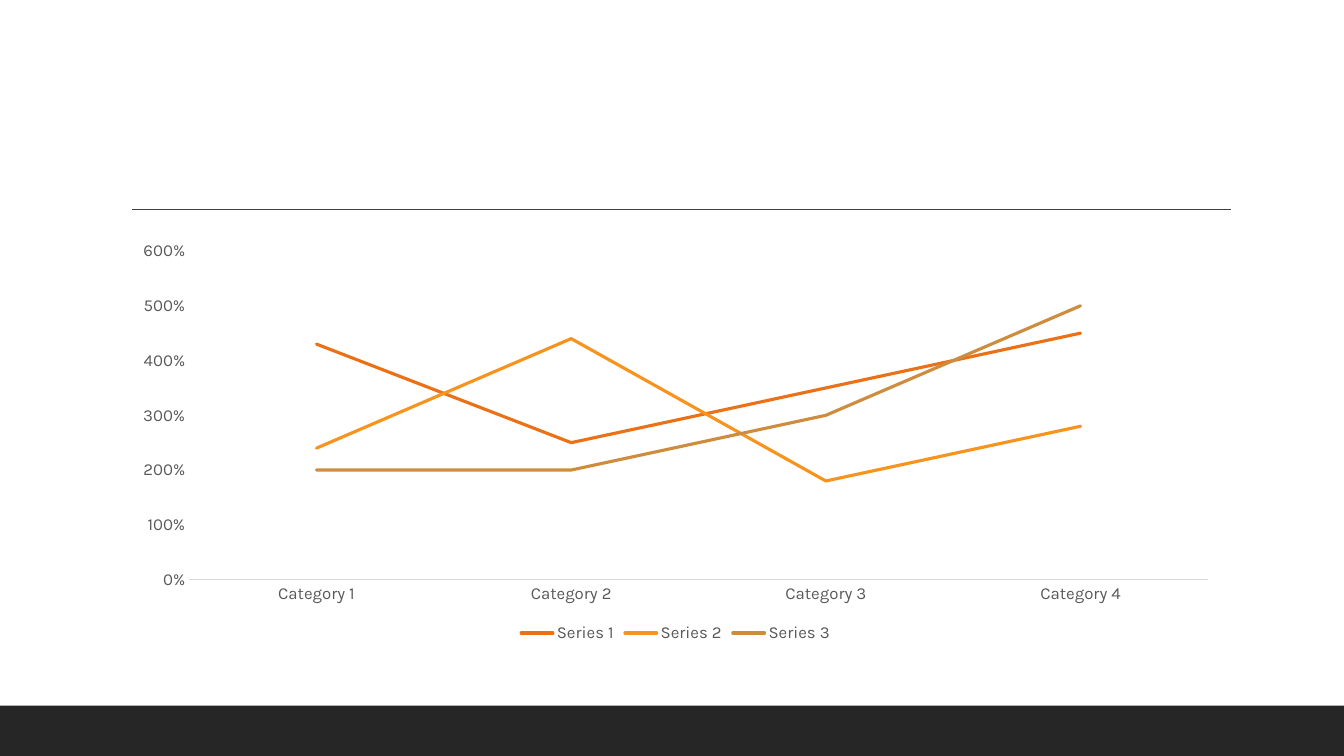
from dataclasses import dataclass

import lxml.etree
import pptx
import pptx.chart.data
import pptx.dml.color
import pptx.enum.chart
import pptx.enum.shapes
import pptx.oxml.ns
import pptx.util
from pptx.util import Inches


@dataclass(frozen=True)
class Theme:
    font: str = "Karla"
    label_size: int = 12
    base_size: int = 10
    background: str = "FFFFFF"
    footer: str = "262626"
    rule: str = "404040"
    label: str = "595959"
    base_text: str = "000000"
    axis: str = "D9D9D9"


@dataclass(frozen=True)
class Series:
    name: str
    values: tuple[float, ...]
    color: str


THEME = Theme()
CATEGORIES = [f"Category {number}" for number in range(1, 5)]
SERIES = [
    Series("Series 1", (4.3, 2.5, 3.5, 4.5), "EC7016"),
    Series("Series 2", (2.4, 4.4, 1.8, 2.8), "F8931D"),
    Series("Series 3", (2, 2, 3, 5), "CE8D3E"),
]


def rgb(color: str) -> pptx.dml.color.RGBColor:
    return pptx.dml.color.RGBColor.from_string(color)


def style_line(line, color: str, width: float) -> None:
    line.color.rgb = rgb(color)
    line.width = pptx.util.Pt(width)


def style_font(font, size: int, color: str) -> None:
    font.name = THEME.font
    font.size = pptx.util.Pt(size)
    font.color.rgb = rgb(color)


def add_footer(page, width: int) -> None:
    footer = page.shapes.add_shape(
        pptx.enum.shapes.MSO_SHAPE.RECTANGLE, 0, Inches(7), width, Inches(0.5)
    )
    footer.shadow.inherit = False
    footer.fill.solid()
    footer.fill.fore_color.rgb = rgb(THEME.footer)
    footer.line.fill.background()


def add_rule(page) -> None:
    rule = page.shapes.add_connector(
        pptx.enum.shapes.MSO_CONNECTOR.STRAIGHT,
        Inches(1.31), Inches(2.08), Inches(12.21), Inches(2.08),
    )
    style_line(rule.line, THEME.rule, 1)
    lxml.etree.SubElement(rule._element.spPr, pptx.oxml.ns.qn("a:effectLst"))


def add_line_chart(page) -> None:
    data = pptx.chart.data.CategoryChartData(number_format="0%")
    data.categories = CATEGORIES
    for series in SERIES:
        data.add_series(series.name, series.values)
    chart = page.shapes.add_chart(
        pptx.enum.chart.XL_CHART_TYPE.LINE,
        Inches(1.2), Inches(2.31), Inches(11), Inches(4.11), data,
    ).chart
    chart.has_title = False
    style_font(chart.font, THEME.base_size, THEME.base_text)

    # Lines
    plot = chart.plots[0]
    plot.vary_by_categories = False
    for line, series in zip(plot.series, SERIES):
        line.smooth = False
        line.marker.style = pptx.enum.chart.XL_MARKER_STYLE.NONE
        style_line(line.format.line, series.color, 2.25)
        # Round line ends
        line.format.line._get_or_add_ln().set("cap", "rnd")

    # Axes
    for axis in (chart.category_axis, chart.value_axis):
        axis.has_major_gridlines = False
        axis.major_tick_mark = pptx.enum.chart.XL_TICK_MARK.NONE
        axis.minor_tick_mark = pptx.enum.chart.XL_TICK_MARK.NONE
        style_font(axis.tick_labels.font, THEME.label_size, THEME.label)
    style_line(chart.category_axis.format.line, THEME.axis, 0.75)
    chart.value_axis.format.line.fill.background()
    chart.value_axis.tick_labels.number_format = "0%"
    chart.value_axis.tick_labels.number_format_is_linked = False

    # Legend
    chart.has_legend = True
    chart.legend.position = pptx.enum.chart.XL_LEGEND_POSITION.BOTTOM
    chart.legend.include_in_layout = False
    style_font(chart.legend.font, THEME.label_size, THEME.label)


def main() -> None:
    deck = pptx.Presentation()
    deck.slide_width = Inches(13.33)
    deck.slide_height = Inches(7.5)
    page = deck.slides.add_slide(deck.slide_layouts[6])
    page.background.fill.solid()
    page.background.fill.fore_color.rgb = rgb(THEME.background)

    add_footer(page, deck.slide_width)
    add_rule(page)
    add_line_chart(page)
    deck.save("out.pptx")


if __name__ == "__main__":
    main()
